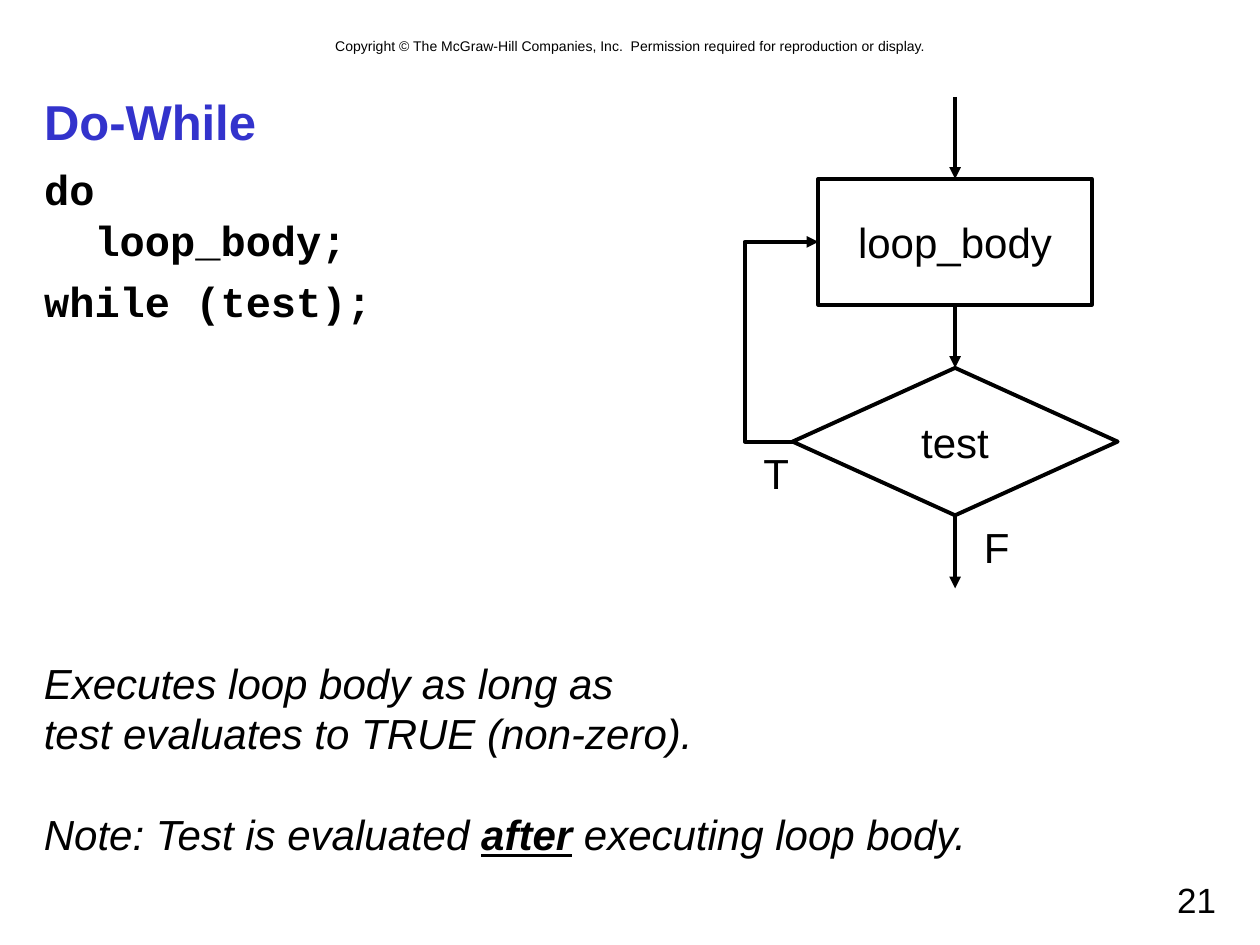
from lxml.etree import SubElement
from pptx import Presentation
from pptx.dml.color import RGBColor
from pptx.enum.shapes import MSO_CONNECTOR, MSO_SHAPE
from pptx.enum.text import MSO_ANCHOR, MSO_AUTO_SIZE, PP_ALIGN
from pptx.oxml.ns import qn
from pptx.util import Inches, Pt

BLACK = RGBColor(0, 0, 0)
BLUE = RGBColor(0x33, 0x33, 0xCC)
LEFT, MID, RIGHT = PP_ALIGN.LEFT, PP_ALIGN.CENTER, PP_ALIGN.RIGHT
TOP, HALF = MSO_ANCHOR.TOP, MSO_ANCHOR.MIDDLE

TITLE = "Do-While"
CODE = ["do\v  loop_body;", "while (test);"]
NOTES = [
    [("Executes loop body as long as\vtest evaluates to TRUE (non-zero).", {})],
    [("Note: Test is evaluated ", {}),
     ("after", {"bold": True, "underline": True}),
     (" executing loop body.", {})],
]
COPY = ("Copyright © The McGraw-Hill Companies, Inc.  "
        "Permission required for reproduction or display.")

BASE = {"name": "Arial", "size": Pt(24), "bold": False}
HEAD = {"name": "Arial", "size": Pt(28), "bold": True}
MONO = {"name": "Courier New", "size": Pt(24), "bold": True}
PITCH = Pt(28.8)
AXIS = 7.58
LOOP = 5.91

LABELS = [
    (COPY, (0.67, 0.25, 8.67, 0.24), MID, {**BASE, "size": Pt(8)}),
    ("T", (5.96, 3.5, 0.4, 0.5), MID, BASE),
    ("F", (7.71, 4.09, 0.4, 0.5), MID, BASE),
    ("21", (7.17, 6.92, 2.58, 0.42), RIGHT, {**BASE, "size": Pt(20)}),
]
NODES = [
    ("loop_body", MSO_SHAPE.RECTANGLE, 1.42, 2.17, 1),
    ("test", MSO_SHAPE.DIAMOND, 2.92, 2.58, 1.17),
]


def style(font, form, color=BLACK):
    for key, val in form.items():
        setattr(font, key, val)
    font.color.rgb = color


def place(shape, box):
    for key, val in zip(("left", "top", "width", "height"), box):
        setattr(shape, key, Inches(val))


def fill(shape, paras, form, align=LEFT, anchor=TOP, wrap=True,
         color=BLACK, gap=0, pitch=None):
    frame = shape.text_frame
    frame.auto_size = MSO_AUTO_SIZE.NONE
    frame.word_wrap = wrap
    frame.vertical_anchor = anchor
    for key, val in (("left", 0.1), ("top", 0.05), ("right", 0.1), ("bottom", 0.05)):
        setattr(frame, "margin_" + key, Inches(val))
    for num, runs in enumerate(paras):
        para = frame.add_paragraph() if num else frame.paragraphs[0]
        para.alignment = align
        para.space_before = Pt(gap if num else 0)
        if pitch:
            para.line_spacing = pitch
        for text, extra in runs:
            para.add_line_break() if text == "\v" else None
            for part, line in enumerate(text.split("\v")):
                if part:
                    para.add_line_break()
                run = para.add_run()
                run.text = line
                style(run.font, {**form, **extra}, color)
    return frame


def link(slide, start, end, kind=MSO_CONNECTOR.STRAIGHT):
    wire = slide.shapes.add_connector(kind, *(Inches(v) for v in start + end))
    wire.line.color.rgb = BLACK
    wire.line.width = Pt(2.25)
    SubElement(wire.line._get_or_add_ln(), qn("a:tailEnd"), type="triangle")
    SubElement(wire._element.spPr, qn("a:effectLst"))
    return wire


def main():
    deck = Presentation()
    deck.slide_width, deck.slide_height = Inches(10), Inches(7.5)
    slide = deck.slides.add_slide(deck.slide_layouts[1])
    title, body = slide.placeholders
    place(title, (0.25, 0.67, 9.5, 0.58))
    fill(title, [[(TITLE, {})]], HEAD, anchor=HALF, color=BLUE)
    place(body, (0.25, 1.25, 9.5, 5.42))
    frame = fill(body, [[(line, {})] for line in CODE], MONO, gap=6, pitch=PITCH)
    for para in frame.paragraphs:
        props = para._p.get_or_add_pPr()
        props.set("marL", "0")
        props.set("indent", "0")
        SubElement(props, qn("a:buNone"))

    nodes = []
    for text, kind, top, wide, high in NODES:
        box = (AXIS - wide / 2, top, wide, high)
        node = slide.shapes.add_shape(kind, *(Inches(v) for v in box))
        node.shadow.inherit = False
        node.fill.background()
        node.line.color.rgb = BLACK
        node.line.width = Pt(2.25)
        fill(node, [[(text, {})]], BASE, MID, HALF, False)
        nodes.append(node)
    step, test = nodes

    link(slide, (AXIS, 0.77), (AXIS, 1.42)).end_connect(step, 0)
    wire = link(slide, (AXIS, 2.42), (AXIS, 2.92))
    wire.begin_connect(step, 2)
    wire.end_connect(test, 0)
    link(slide, (AXIS, 4.09), (AXIS, 4.67)).begin_connect(test, 2)

    back = link(slide, (6.29, 3.5), (6.5, 1.92), MSO_CONNECTOR.ELBOW)
    back.begin_connect(test, 1)
    back.end_connect(step, 1)
    span = back.end_x - back.begin_x
    bend = round((Inches(LOOP) - back.begin_x) / span * 100000)
    geom = back._element.spPr.find(qn("a:prstGeom"))
    SubElement(geom.find(qn("a:avLst")), qn("a:gd"), name="adj1", fmla=f"val {bend}")

    for text, box, align, form in LABELS:
        label = slide.shapes.add_textbox(*(Inches(v) for v in box))
        fill(label, [[(text, {})]], form, align)
    note = slide.shapes.add_textbox(*(Inches(v) for v in (0.25, 5.17, 7.57, 1.7)))
    fill(note, NOTES, {**BASE, "italic": True}, wrap=False, gap=28.8, pitch=PITCH)
    deck.save("out.pptx")


if __name__ == "__main__":
    main()
